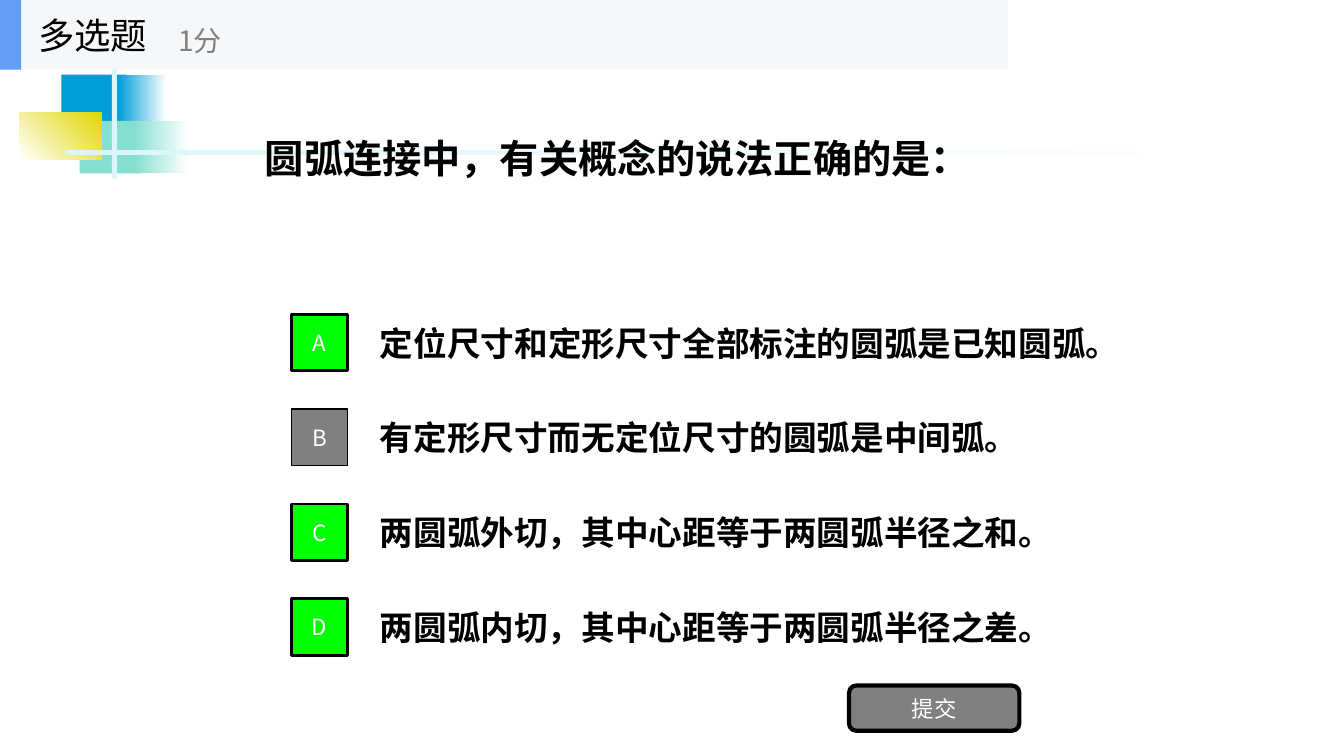
from pptx import Presentation
from pptx.dml.color import RGBColor
from pptx.enum.shapes import MSO_SHAPE
from pptx.enum.text import MSO_ANCHOR, PP_ALIGN
from pptx.oxml.ns import qn
from pptx.util import Inches, Pt
from lxml import etree

COLORS = {
    "white": "FFFFFF", "black": "000000", "gray": "808080", "green": "00FF00",
    "blue": "009DD9", "teal": "85DFD0", "yellow": "E2D700", "ice": "DBF5F9",
    "band": "F6F7F8", "accent": "639EF4",
}
CJK = "Noto Sans CJK SC"


def rgb(name):
    return RGBColor.from_string(COLORS[name])


class QuizSlide:
    """Draws the elements of a multiple-choice question on one slide."""

    def __init__(self, slide):
        self.shapes = slide.shapes
        self.target = slide.shapes

    def start_group(self):
        self.target = self.shapes.add_group_shape().shapes

    def set_text(self, frame, text, size, color="black", bold=False, font=CJK,
                 align=PP_ALIGN.LEFT, wrap=True):
        frame.word_wrap = wrap
        frame.vertical_anchor = MSO_ANCHOR.MIDDLE
        paragraph = frame.paragraphs[0]
        paragraph.alignment = align
        run = paragraph.add_run()
        run.text = text
        for name, value in {"size": Pt(size), "bold": bold, "name": font}.items():
            setattr(run.font, name, value)
        run.font.color.rgb = rgb(color)
        east_asian = etree.Element(qn("a:ea"), typeface=CJK)
        run.font._element.find(qn("a:latin")).addnext(east_asian)

    def text(self, box, text, size, **style):
        label = self.target.add_textbox(*map(Inches, box))
        self.set_text(label.text_frame, text, size, **style)

    def block(self, box, fill, fade_to=None, angle=0, line=None,
              kind=MSO_SHAPE.RECTANGLE):
        block = self.target.add_shape(kind, *map(Inches, box))
        block.shadow.inherit = False
        if fade_to:
            block.fill.gradient()
            block.fill.gradient_angle = angle
            for stop, color in zip(block.fill.gradient_stops, (fill, fade_to)):
                stop.color.rgb = rgb(color)
        else:
            block.fill.solid()
            block.fill.fore_color.rgb = rgb(fill)
        if line:
            block.line.color.rgb = rgb("black")
            block.line.width = Pt(line)
        else:
            block.line.fill.background()
        return block

    def button(self, box, text, fill, line, kind=MSO_SHAPE.RECTANGLE):
        button = self.block(box, fill, line=line, kind=kind)
        self.set_text(button.text_frame, text, 16, color="white",
                      align=PP_ALIGN.CENTER)


def main():
    deck = Presentation()
    deck.slide_width, deck.slide_height = Inches(13.33), Inches(7.5)
    quiz = QuizSlide(deck.slides.add_slide(deck.slide_layouts[6]))

    for box, fill, fade_to, angle in (
        ((0.61, 0.74, 0.64, 0.52), "blue", None, 0),
        ((1.17, 0.74, 0.48, 0.52), "blue", "white", 0),
        ((0.79, 1.2, 0.62, 0.52), "teal", None, 0),
        ((1.33, 1.2, 0.54, 0.52), "teal", "white", 0),
        ((0.19, 1.12, 0.82, 0.46), "white", "yellow", 45),
        ((1.11, 0.62, 0.05, 1.15), "ice", None, 0),
        ((0.65, 1.49, 12, 0.05), "ice", "white", 0),
    ):
        quiz.block(box, fill, fade_to, angle)

    quiz.text((2.53, 0.86, 8, 1.41), "圆弧连接中，有关概念的说法正确的是：", 28, bold=True)

    options = (
        ("A", "定位尺寸和定形尺寸全部标注的圆弧是已知圆弧。", 7.45, "Arial", True),
        ("B", "有定形尺寸而无定位尺寸的圆弧是中间弧。", 7, "Arial", False),
        ("C", "两圆弧外切，其中心距等于两圆弧半径之和。", 7, CJK, True),
        ("D", "两圆弧内切，其中心距等于两圆弧半径之差。", 7, CJK, True),
    )
    for row, (letter, statement, width, font, correct) in enumerate(options):
        top = 3.05 + row * 0.94
        quiz.text((3.67, top, width, 0.7), statement, 24, bold=True, font=font)
        quiz.button((2.89, top + 0.07, 0.56, 0.56), letter,
                    "green" if correct else "gray", 2 if correct else 1)

    quiz.button((8.42, 6.8, 1.69, 0.45), "提交", "gray", 3,
                MSO_SHAPE.ROUNDED_RECTANGLE)

    quiz.start_group()
    quiz.block((0, 0, 10, 0.69), "band")
    quiz.block((0, 0, 0.21, 0.69), "accent")
    quiz.text((0.28, 0, 2.08, 0.69), "多选题", 26, wrap=False)
    quiz.text((1.67, 0.12, 2.5, 0.56), "1分", 20, color="gray", wrap=False)

    deck.save("out.pptx")


if __name__ == "__main__":
    main()
